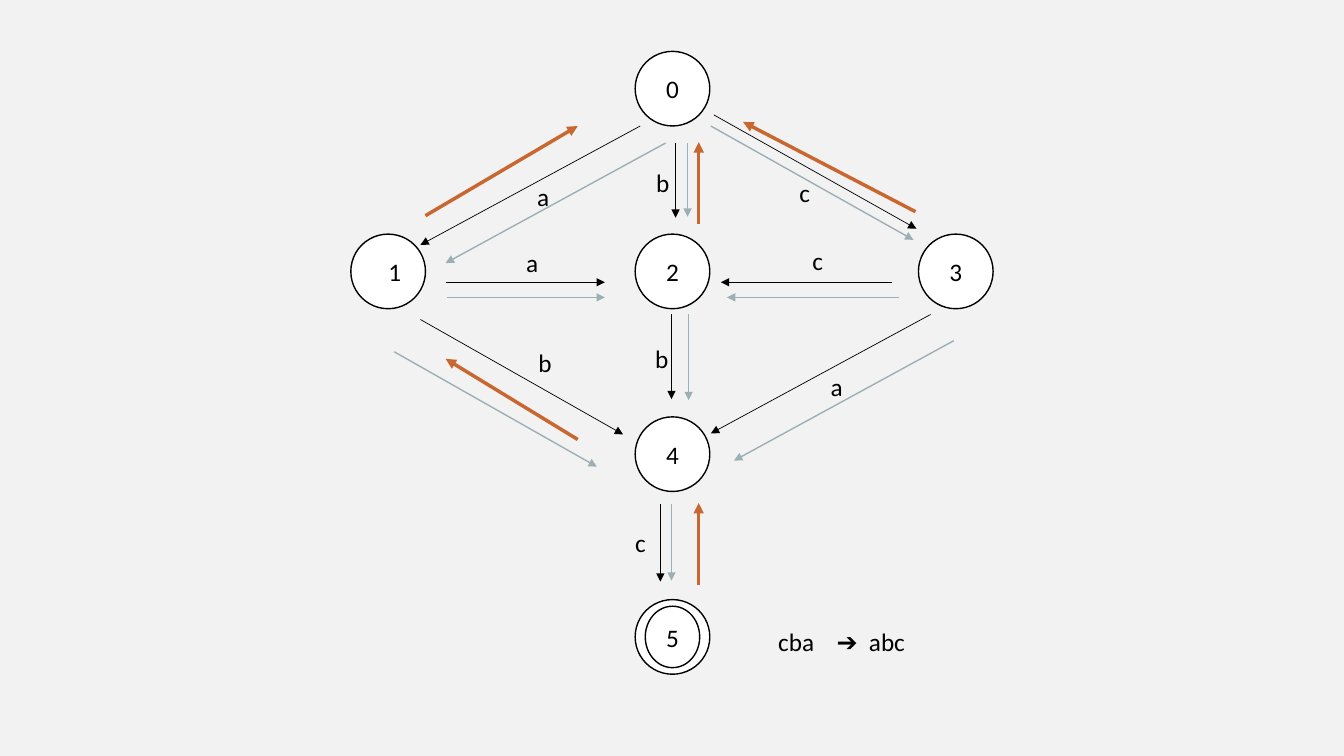
from lxml.etree import SubElement
from pptx import Presentation
from pptx.dml.color import RGBColor
from pptx.enum.shapes import MSO_CONNECTOR, MSO_SHAPE
from pptx.enum.text import MSO_ANCHOR, PP_ALIGN
from pptx.oxml.ns import qn
from pptx.util import Inches, Pt

CELL = Inches(0.1)
BLACK, WHITE, GRAY, ORANGE = "000000", "FFFFFF", "9BAFB5", "C96731"


def color(value):
    return RGBColor.from_string(value)


def write(shape, text, size=18, font="Calibri", fill=BLACK, align=PP_ALIGN.LEFT, anchor=MSO_ANCHOR.TOP):
    frame = shape.text_frame
    frame.word_wrap = True
    frame.vertical_anchor = anchor
    paragraph = frame.paragraphs[0]
    paragraph.alignment = align
    run = paragraph.add_run()
    run.text = text
    run.font.size = Pt(size)
    run.font.name = font
    run.font.color.rgb = color(fill)
    return paragraph


presentation = Presentation()
presentation.slide_width = Inches(13.33)
presentation.slide_height = Inches(7.5)
slide = presentation.slides.add_slide(presentation.slide_layouts[6])
slide.background.fill.solid()
slide.background.fill.fore_color.rgb = color("F2F2F2")
shapes = slide.shapes

node_columns = [38.5, 66.7, 94.8]
node_rows = [8.8 + 18.13 * level for level in range(4)]
nodes = [
    ("0", 1, 0, 7.4, 7.4),
    ("1", 0, 1, 7.4, 7.4),
    ("2", 1, 1, 7.4, 7.4),
    ("3", 2, 1, 7.4, 7.4),
    ("4", 1, 2, 7.4, 7.4),
    ("", 1, 3, 7.4, 7.4),
    ("5", 1, 3, 5.4, 6.1),
]
for name, column, row, width, height in nodes:
    left = node_columns[column] - width / 2
    top = node_rows[row] - height / 2
    node = shapes.add_shape(MSO_SHAPE.OVAL, *(int(CELL * n) for n in (left, top, width, height)))
    node.shadow.inherit = False
    node.fill.solid()
    node.fill.fore_color.rgb = color(WHITE)
    node.line.color.rgb = color(BLACK)
    node.line.width = Pt(1)
    if name:
        write(node, name, align=PP_ALIGN.CENTER, anchor=MSO_ANCHOR.MIDDLE)
    if name == "1":
        node.text_frame.margin_left = int(CELL * 2.3)

arrow_groups = [
    (BLACK, 0.5, [
        (63.5, 12.5, 41.7, 24.3), (67, 14.2, 67, 21.6), (70.8, 11.4, 90.9, 22.7),
        (44.2, 28, 60, 28), (88.5, 28, 71.5, 28), (41.7, 31.7, 61.8, 43.1),
        (66.6, 31.2, 66.6, 39.6), (92.3, 31.2, 70.5, 43), (65.5, 50, 65.5, 57.7),
    ]),
    (GRAY, 1, [
        (66, 14.2, 44.2, 26.1), (68.2, 14.2, 68.2, 21.5), (70.5, 12.5, 90.6, 23.8),
        (44.3, 29.5, 60, 29.5), (89.2, 29.5, 72.1, 29.5), (39.1, 34.9, 59.2, 46.3),
        (68.3, 31.2, 68.3, 39.7), (94.6, 33.8, 72.8, 45.7), (66.6, 50, 66.6, 57.6),
    ]),
    (ORANGE, 2.5, [
        (42.2, 21.4, 57.3, 12.5), (69.3, 22.2, 69.3, 14.1), (90.8, 21, 73.7, 12.1),
        (57.3, 43.6, 44.2, 35.6), (69.3, 58, 69.3, 49.9),
    ]),
]
for stroke, weight, arrows in arrow_groups:
    for ends in arrows:
        arrow = shapes.add_connector(MSO_CONNECTOR.STRAIGHT, *(int(CELL * n) for n in ends))
        arrow.line.color.rgb = color(stroke)
        arrow.line.width = Pt(weight)
        SubElement(arrow.line._get_or_add_ln(), qn("a:tailEnd"), type="triangle")
        SubElement(arrow._element.spPr, qn("a:effectLst"))

labels = [
    ("a", 52.3, 17.5), ("b", 64.1, 16.1), ("c", 78.3, 17.1),
    ("a", 51.2, 24), ("c", 79.6, 23.8), ("b", 52.4, 34),
    ("b", 64, 33.6), ("a", 81.4, 36.3), ("c", 62, 51.8),
]
for text, left, top in labels:
    label = shapes.add_textbox(*(int(CELL * n) for n in (left, top, 6.2, 4)))
    write(label, text)

translation = shapes.add_textbox(*(int(CELL * n) for n in (76.2, 61.6, 17.4, 4)))
paragraph = write(translation, "cba\t➔\tabc")
tab_list = SubElement(paragraph._p.get_or_add_pPr(), qn("a:tabLst"))
for stop in (5.8, 9):
    SubElement(tab_list, qn("a:tab"), pos=str(int(CELL * stop)), algn="l")

presentation.save("out.pptx")
